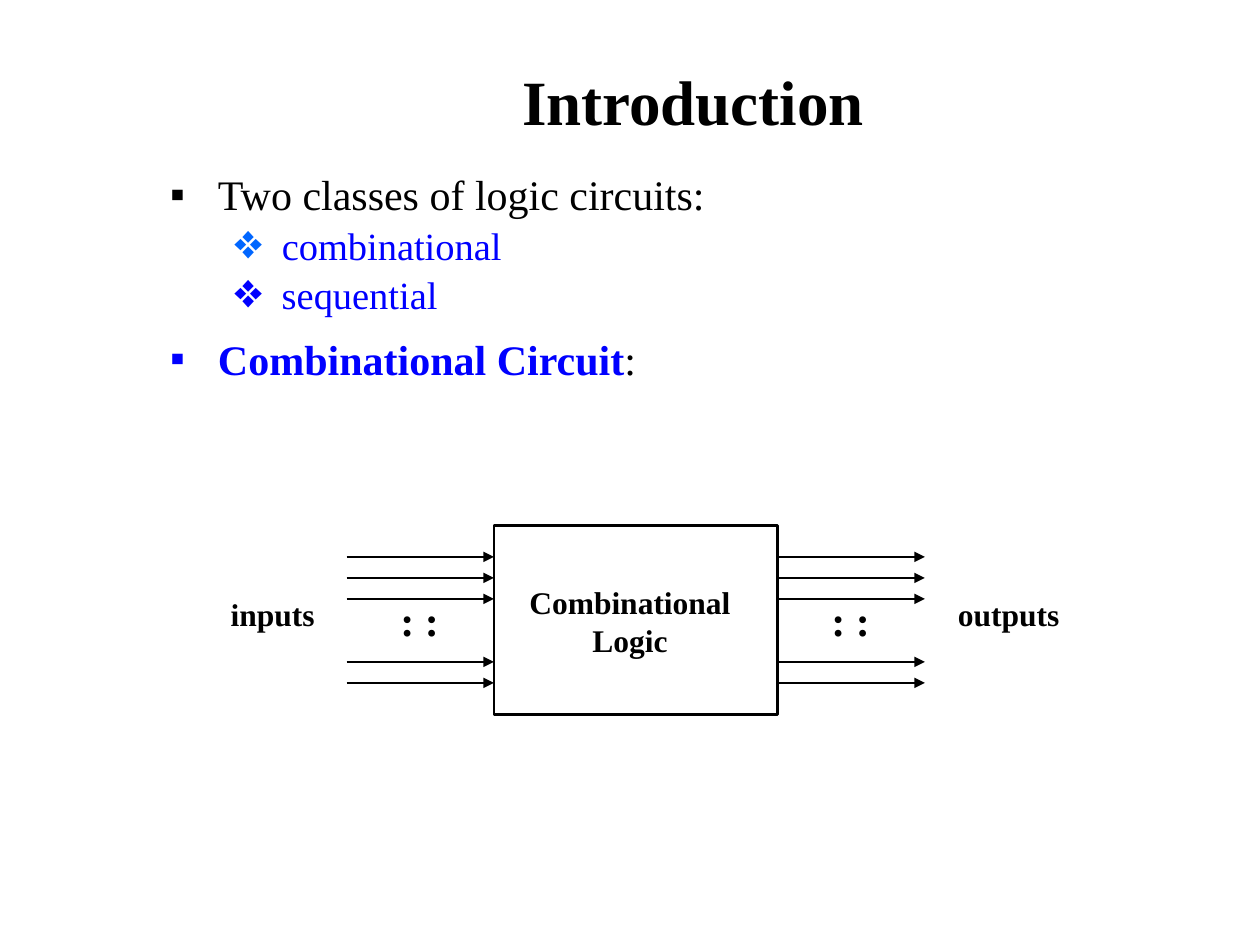
from lxml import etree
from pptx import Presentation
from pptx.dml.color import RGBColor
from pptx.enum import shapes, text
from pptx.oxml.ns import qn
from pptx.util import Inches, Pt

BLACK = RGBColor(0x00, 0x00, 0x00)
BLUE = RGBColor(0x00, 0x00, 0xFF)
LIGHT_BLUE = RGBColor(0x00, 0x66, 0xFF)
FONT = "Times New Roman"

BOX_LEFT, BOX_TOP, BOX_WIDTH, BOX_HEIGHT = 3.92, 4.17, 2.25, 1.5
WIRE_LENGTH = 1.17
WIRE_STEPS = (0, 1, 2, 5, 6)  # the gap at 3 and 4 holds the dots


def add_run(p, words, size, color=BLACK, bold=False):
    r = p.add_run()
    r.text = words
    f = r.font
    f.name, f.size, f.bold = FONT, Pt(size), bold
    f.color.rgb = color


def place(sp, left, top, width, height):
    sp.left, sp.top = Inches(left), Inches(top)
    sp.width, sp.height = Inches(width), Inches(height)


def set_bullet(p, char, color, margin, indent):
    pPr = p._p.get_or_add_pPr()
    pPr.set("marL", str(Inches(margin)))
    pPr.set("indent", str(Inches(indent)))
    clr = etree.SubElement(pPr, qn("a:buClr"))
    etree.SubElement(clr, qn("a:srgbClr"), val=str(color))
    etree.SubElement(pPr, qn("a:buFont"), typeface=FONT)
    etree.SubElement(pPr, qn("a:buChar"), char=char)


def add_title(s):
    sp = s.shapes.title
    place(sp, 1.25, 0.17, 8.5, 1.25)
    tf = sp.text_frame
    tf.auto_size = text.MSO_AUTO_SIZE.NONE
    tf.vertical_anchor = text.MSO_ANCHOR.MIDDLE
    p = tf.paragraphs[0]
    p.alignment = text.PP_ALIGN.CENTER
    add_run(p, "Introduction", 36, bold=True)


def add_body(s):
    sp = s.placeholders[1]
    place(sp, 1.25, 1.33, 8.5, 1.92)
    tf = sp.text_frame
    tf.auto_size = text.MSO_AUTO_SIZE.NONE
    # level, space before, bullet colour, runs of (words, colour, bold)
    items = [
        (0, 0, BLACK, [("Two classes of logic circuits:", BLACK, False)]),
        (1, 4.4, LIGHT_BLUE, [(" ", LIGHT_BLUE, False),
                              ("combinational", BLUE, False)]),
        (1, 4.4, BLUE, [(" sequential", BLUE, False)]),
        (0, 12, BLUE, [("Combinational Circuit", BLUE, True),
                       (":", BLACK, False)]),
    ]
    styles = [("▪", 24, 0.38, -0.38), ("❖", 22, 0.81, -0.31)]
    for i, (level, before, bullet_color, runs) in enumerate(items):
        char, size, margin, indent = styles[level]
        p = tf.add_paragraph() if i else tf.paragraphs[0]
        p.level = level
        p.line_spacing = 0.9
        p.space_before = Pt(before)
        set_bullet(p, char, bullet_color, margin, indent)
        for words, color, bold in runs:
            add_run(p, words, size, color, bold)


def add_box(grp):
    sp = grp.shapes.add_shape(
        shapes.MSO_SHAPE.RECTANGLE, Inches(BOX_LEFT), Inches(BOX_TOP),
        Inches(BOX_WIDTH), Inches(BOX_HEIGHT))
    sp.shadow.inherit = False
    sp.fill.background()
    sp.line.color.rgb = BLACK
    sp.line.width = Pt(1.5)


def add_label(grp, lines, left, top, width, height, size=18,
              align=text.PP_ALIGN.CENTER):
    sp = grp.shapes.add_textbox(Inches(left), Inches(top),
                                Inches(width), Inches(height))
    tf = sp.text_frame
    tf.word_wrap = True
    tf.auto_size = text.MSO_AUTO_SIZE.SHAPE_TO_FIT_TEXT
    for i, line in enumerate(lines):
        p = tf.add_paragraph() if i else tf.paragraphs[0]
        p.alignment = align
        add_run(p, line, size, bold=True)


def add_arrow(grp, left, y):
    c = grp.shapes.add_connector(
        shapes.MSO_CONNECTOR.STRAIGHT, Inches(left), Inches(y),
        Inches(left + WIRE_LENGTH), Inches(y))
    c.line.color.rgb = BLACK
    c.line.width = Pt(1.25)
    etree.SubElement(c.line._get_or_add_ln(), qn("a:tailEnd"), type="triangle")
    etree.SubElement(c._element.spPr, qn("a:effectLst"))


def add_wires(grp, left, dots_left):
    """Add one bundle of arrows with the dots that stand for the others."""
    for step in WIRE_STEPS:
        add_arrow(grp, left, BOX_TOP + 0.25 + step / 6)
    add_label(grp, [": :"], dots_left, 4.67, 0.67, 0.5, 24,
              text.PP_ALIGN.LEFT)


def add_diagram(s):
    grp = s.shapes.add_group_shape()
    add_box(grp)
    add_label(grp, ["Combinational", "Logic"], 4, 4.58, 2, 0.7)
    add_wires(grp, BOX_LEFT - WIRE_LENGTH, 3.08)
    add_wires(grp, BOX_LEFT + BOX_WIDTH, 6.5)
    add_label(grp, ["inputs"], 1.58, 4.67, 1.17, 0.4)
    add_label(grp, ["outputs"], 7.42, 4.67, 1.17, 0.4)


def main():
    prs = Presentation()
    prs.slide_width, prs.slide_height = Inches(10), Inches(7.5)
    s = prs.slides.add_slide(prs.slide_layouts[1])
    add_title(s)
    add_body(s)
    add_diagram(s)
    prs.save("out.pptx")


if __name__ == "__main__":
    main()
